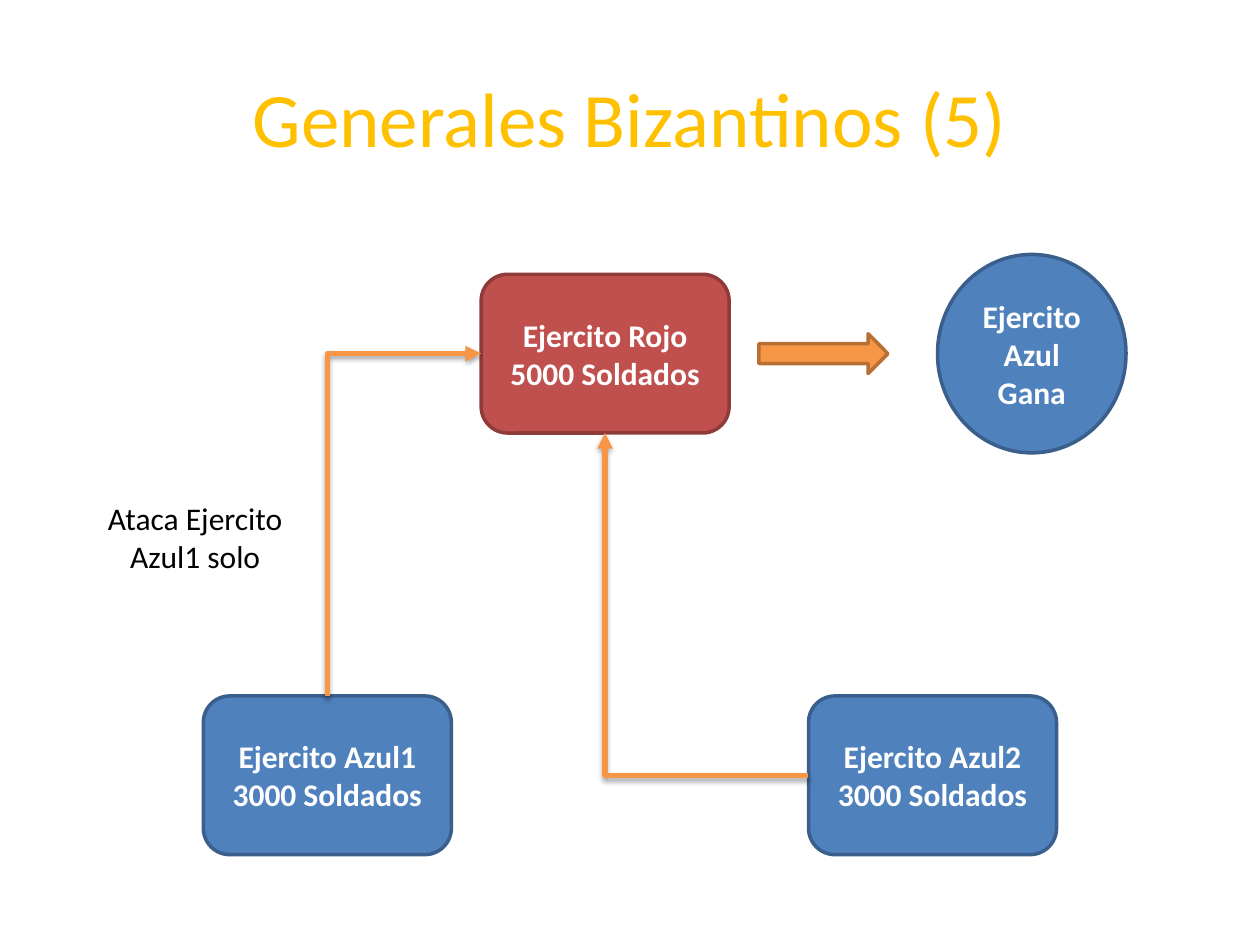
from dataclasses import dataclass

from lxml import etree
from pptx import Presentation
from pptx.dml.color import RGBColor
from pptx.enum import shapes, text
from pptx.oxml import parse_xml
from pptx.oxml.ns import nsdecls, qn
from pptx.util import Cm, Pt


@dataclass(frozen=True)
class Theme:
    font: str = "Calibri"
    head: int = 44
    body: int = 18
    gold: str = "FFC000"
    white: str = "FFFFFF"
    black: str = "000000"
    red: tuple = ("C0504D", "8E3B39")
    blue: tuple = ("4F81BD", "3A5F8C")
    orange: tuple = ("F79646", "B76F34")
    edge: int = 2
    wire: int = 3


T = Theme()
KIND = shapes.MSO_SHAPE
TITLE = "Generales Bizantinos (5)"
LABEL = "Ataca Ejercito Azul1 solo"
BOX = (5, 3.2)
MID = 7.13   # centre line of the upper row, cm
LOW = 15.63  # centre line of the lower row, cm

# name: preset, centre x, centre y, size, (fill, edge), lines
NODES = {
    "red": (KIND.ROUNDED_RECTANGLE, 12.2, MID, BOX, T.red, ["Ejercito Rojo", "5000 Soldados"]),
    "blue1": (KIND.ROUNDED_RECTANGLE, 6.6, LOW, BOX, T.blue, ["Ejercito Azul1", "3000 Soldados"]),
    "blue2": (KIND.ROUNDED_RECTANGLE, 18.8, LOW, BOX, T.blue, ["Ejercito Azul2", "3000 Soldados"]),
    "arrow": (KIND.RIGHT_ARROW, 16.6, MID, (2.6, 0.8), T.orange, []),
    "win": (KIND.OVAL, 20.8, MID, (3.8, 4), T.blue, ["Ejercito Azul Gana"]),
}
# start node and side, end node and side, turn of the bend in degrees
WIRES = [
    ("blue2", "left", "red", "bottom", 0),
    ("blue1", "top", "red", "left", 90),
]
SIDES = {"left": (-0.5, 0), "top": (0, -0.5), "bottom": (0, 0.5)}


def rgb(code):
    return RGBColor.from_string(code)


def write(frame, lines, size, color, bold=False):
    frame.word_wrap = True
    frame.text = "\n".join(lines)
    for para in frame.paragraphs:
        para.alignment = text.PP_ALIGN.CENTER
        font = para.font
        font.name, font.size, font.bold = T.font, Pt(size), bold
        font.color.rgb = rgb(color)


def place(shape, left, top, width, height):
    shape.left, shape.top = Cm(left), Cm(top)
    shape.width, shape.height = Cm(width), Cm(height)


def add_node(slide, kind, x, y, size, colors, lines):
    wide, high = size
    node = slide.shapes.add_shape(
        kind, Cm(x - wide / 2), Cm(y - high / 2), Cm(wide), Cm(high))
    node.shadow.inherit = False
    node.fill.solid()
    node.fill.fore_color.rgb = rgb(colors[0])
    node.line.color.rgb = rgb(colors[1])
    node.line.width = Pt(T.edge)
    if lines:
        node.text_frame.vertical_anchor = text.MSO_ANCHOR.MIDDLE
        write(node.text_frame, lines, T.body, T.white, True)


def port(name, side):
    _, x, y, (wide, high), *_ = NODES[name]
    dx, dy = SIDES[side]
    return x + dx * wide, y + dy * high


def add_wire(slide, start, end, turn):
    """Draw a one-bend arrow; a turn of 90 goes up first, then across."""
    (x1, y1), (x2, y2) = start, end
    cx, cy = (x1 + x2) / 2, (y1 + y2) / 2
    dx, dy = abs(x1 - x2) / 2, abs(y1 - y2) / 2
    if turn:
        dx, dy = dy, dx
    wire = slide.shapes.add_connector(
        shapes.MSO_CONNECTOR.ELBOW,
        Cm(cx + dx), Cm(cy + dy), Cm(cx - dx), Cm(cy - dy))
    wire.line.color.rgb = rgb(T.orange[0])
    wire.line.width = Pt(T.wire)
    props = wire._element.spPr
    props.find(qn("a:prstGeom")).set("prst", "bentConnector2")
    if turn:
        props.find(qn("a:xfrm")).set("rot", str(turn * 60000))
    etree.SubElement(props.find(qn("a:ln")), qn("a:tailEnd"), type="triangle")
    props.append(parse_xml(
        f'<a:effectLst {nsdecls("a")}>'
        f'<a:outerShdw blurRad="{Pt(3.1)}" dist="{Pt(1.8)}" dir="5400000" rotWithShape="0">'
        f'<a:srgbClr val="{T.black}"><a:alpha val="35000"/></a:srgbClr>'
        '</a:outerShdw></a:effectLst>'))


def main():
    deck = Presentation()
    deck.slide_width, deck.slide_height = Cm(25.4), Cm(19.05)
    slide = deck.slides.add_slide(deck.slide_layouts[5])

    title = slide.shapes.title
    place(title, 1.27, 0.76, 22.86, 3.18)
    title.text_frame.vertical_anchor = text.MSO_ANCHOR.MIDDLE
    write(title.text_frame, [TITLE], T.head, T.gold)

    for node in NODES.values():
        add_node(slide, *node)
    for a, out, b, into, turn in WIRES:
        add_wire(slide, port(a, out), port(b, into), turn)

    label = slide.shapes.add_textbox(Cm(1.27), Cm(9.93), Cm(5.33), Cm(1.8))
    write(label.text_frame, [LABEL], T.body, T.black)
    deck.save("out.pptx")


if __name__ == "__main__":
    main()
